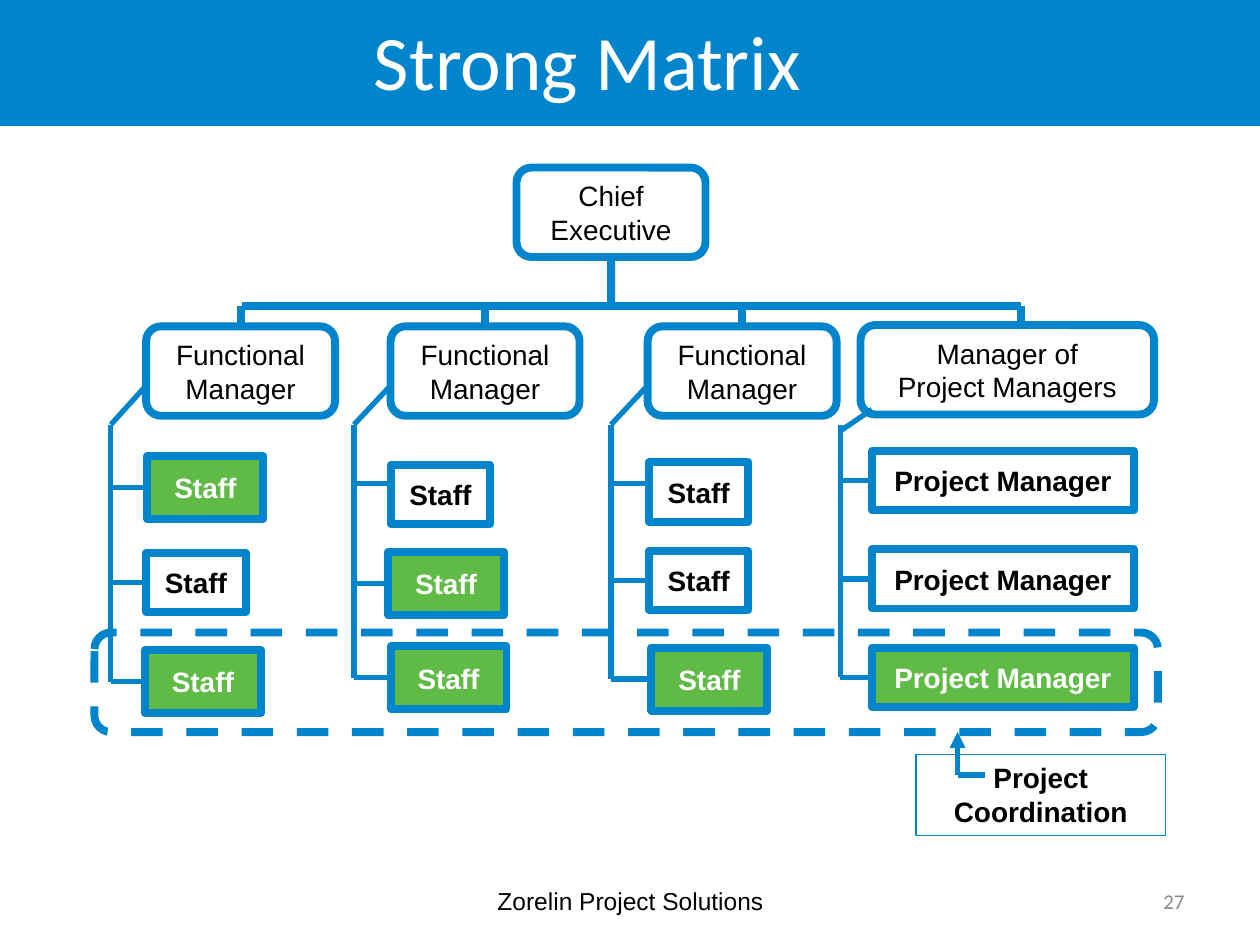
"""Build the Strong Matrix organisation chart slide."""
from lxml import etree
from pptx import Presentation
from pptx.dml.color import RGBColor
from pptx.enum import dml, shapes, text
from pptx.oxml import ns
from pptx.util import Inches, Pt

COLORS = {"blue": "0084CC", "green": "60BB46", "white": "FFFFFF", "black": "000000", "grey": "898989"}
RECT = shapes.MSO_SHAPE.RECTANGLE
ROUND = shapes.MSO_SHAPE.ROUNDED_RECTANGLE
CENTER = text.PP_ALIGN.CENTER

prs = Presentation()
prs.slide_width, prs.slide_height = Inches(10), Inches(7.5)
s = prs.slides.add_slide(prs.slide_layouts[6])


def add_box(at, label="", kind=RECT, fill=None, line=4.5, color="black", size=16,
            bold=False, font="Arial", align=CENTER, wrap=False):
    sp = s.shapes.add_shape(kind, *[Inches(v) for v in at])
    sp.shadow.inherit = False
    if fill:
        sp.fill.solid()
        sp.fill.fore_color.rgb = RGBColor.from_string(COLORS[fill])
    else:
        sp.fill.background()
    if line:
        sp.line.color.rgb = RGBColor.from_string(COLORS["blue"])
        sp.line.width = Pt(line)
    else:
        sp.line.fill.background()
    tf = sp.text_frame
    tf.word_wrap = wrap
    tf.vertical_anchor = text.MSO_ANCHOR.MIDDLE
    tf.text = label
    p = tf.paragraphs[0]
    p.alignment = align
    for r in p.runs:
        r.font.name, r.font.size, r.font.bold = font, Pt(size), bold
        r.font.color.rgb = RGBColor.from_string(COLORS[color])
    return sp


def add_line(x1, y1, x2, y2, width=3):
    cn = s.shapes.add_connector(shapes.MSO_CONNECTOR.STRAIGHT, *[Inches(v) for v in (x1, y1, x2, y2)])
    cn.line.color.rgb = RGBColor.from_string(COLORS["blue"])
    cn.line.width = Pt(width)
    etree.SubElement(cn._element.spPr, ns.qn("a:effectLst"))
    return cn


add_box((0, 0, 10, 1), fill="blue", line=None)
add_box((0.08, 0.03, 9.17, 0.88), "Strong Matrix", line=None, color="white", size=44, font="Calibri")

chief = add_box((4.1, 1.33, 1.5, 0.71), "Chief\vExecutive", ROUND)
add_line(1.92, 2.43, 8.1, 2.43, 4.5)
add_line(4.85, 2.04, 4.85, 2.43, 4.5).begin_connect(chief, 2)

functional, head = "Functional\vManager", "Manager of\vProject Managers"
columns = [
    (functional, 1.16, 2.59, 1.5, 1.91, 0.88, (1.16, 3.06, 3.37),
     [(1.17, 3.62, True), (1.16, 4.39, False), (1.15, 5.16, True)]),
    (functional, 3.1, 2.59, 1.5, 3.85, 2.81, (3.1, 3.06, 3.37),
     [(3.1, 3.69, False), (3.08, 4.38, True), (3.1, 5.13, True)]),
    (functional, 5.14, 2.59, 1.5, 5.89, 4.85, (5.14, 3.06, 3.37),
     [(5.15, 3.67, False), (5.15, 4.37, False), (5.17, 5.14, True)]),
    (head, 6.83, 2.58, 2.33, 8.1, 6.67, (6.92, 3.25, 3.42),
     [(6.92, 3.58, False), (6.92, 4.36, False), (6.92, 5.14, True)]),
]

for label, left, top, width, drop_x, spine_x, (link_x, link_y, spine_y), team in columns:
    manager = add_box((left, top, width, 0.71), label, ROUND)
    drop = add_line(drop_x, 2.43, drop_x, top, 4.5)
    if label == functional:
        drop.end_connect(manager, 0)
    add_line(link_x, link_y, spine_x, spine_y)
    for (x, y, in_project), stub_y in zip(team, (3.84, 4.63, 5.41)):
        if label == head:
            name, w, h = "Project Manager", 2.08, 0.47
        else:
            name = "Staff"
            w, h = (0.92, 0.5) if in_project else (0.79, 0.47)
        member = add_box((x, y, w, h), name, fill="green" if in_project else None,
                         color="white" if in_project else "black", bold=True)
        middle = y + h / 2
        joined = abs(middle - stub_y) <= 0.04
        stub_y = middle if joined else stub_y
        stub = add_line(spine_x, stub_y, x, stub_y)
        if joined:
            stub.end_connect(member, 1)
    add_line(spine_x, 3.37, spine_x, stub_y)

project = add_box((0.75, 5.02, 8.44, 0.79), kind=ROUND)
project.line.dash_style = dml.MSO_LINE.DASH

note = add_box((7.27, 5.99, 1.98, 0.64), "Project Coordination", line=0.75, bold=True, wrap=True)
note.text_frame.vertical_anchor = text.MSO_ANCHOR.TOP
note.text_frame.paragraphs[0].space_before = Pt(10)
arrow = add_line(7.6, 6.15, 7.6, 5.81)
etree.SubElement(arrow.line._get_or_add_ln(), ns.qn("a:tailEnd"), type="triangle")
add_line(7.6, 6.15, 7.82, 6.15)

add_box((3.42, 6.95, 3.17, 0.4), "Zorelin Project Solutions", line=None, size=14, wrap=True)
add_box((7.17, 6.95, 2.33, 0.4), "27", line=None, color="grey", size=12, font="Calibri",
        align=text.PP_ALIGN.RIGHT, wrap=True)

prs.save("out.pptx")
